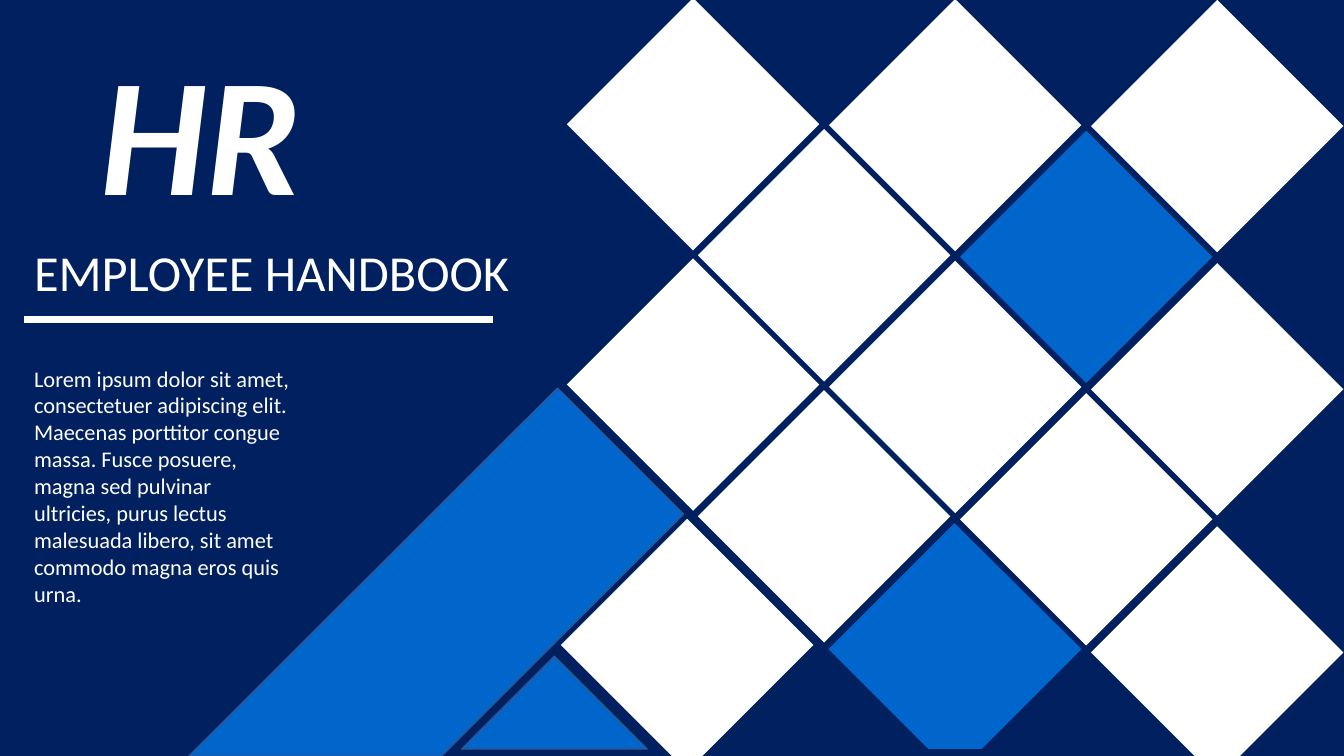
import pptx
import pptx.util
import pptx.dml.color
import pptx.enum.shapes
import pptx.enum.text
import lxml.etree

Pt = pptx.util.Pt
RGBColor = pptx.dml.color.RGBColor
NAVY = RGBColor(0x00, 0x20, 0x60)
BLUE = RGBColor(0x00, 0x66, 0xCC)
EDGE = RGBColor(0x32, 0x54, 0x91)
WHITE = RGBColor(0xFF, 0xFF, 0xFF)


def paint(shape, color, edge=None):
    shape.shadow.inherit = False
    shape.fill.solid()
    shape.fill.fore_color.rgb = color
    if edge is None:
        shape.line.fill.background()
    else:
        shape.line.color.rgb = edge
        shape.line.width = Pt(1)


def write(box, text, area, style):
    box.left, box.top, box.width, box.height = map(Pt, area)
    frame = box.text_frame
    frame.word_wrap = True
    frame.auto_size = pptx.enum.text.MSO_AUTO_SIZE.SHAPE_TO_FIT_TEXT
    frame.vertical_anchor = pptx.enum.text.MSO_ANCHOR.TOP
    line = frame.paragraphs[0]
    line.alignment = pptx.enum.text.PP_ALIGN.LEFT
    run = line.add_run()
    run.text = text
    run.font.name = "Calibri"
    run.font.color.rgb = WHITE
    for key, value in style.items():
        setattr(run.font, key, value)


deck = pptx.Presentation()
deck.slide_width, deck.slide_height = Pt(960), Pt(540)
slide = deck.slides.add_slide(deck.slide_layouts[5])
slide.background.fill.solid()
slide.background.fill.fore_color.rgb = NAVY
shapes = slide.shapes

# Title and subtitle
write(shapes.title, "HR", (64.8, 15.8, 251.3, 152.6),
      {"size": Pt(120), "bold": True, "italic": True})
write(shapes.add_textbox(0, 0, 0, 0), "EMPLOYEE HANDBOOK",
      (17.3, 168.5, 378.7, 51), {"size": Pt(36)})

# Rule under the subtitle
rule = shapes.add_connector(pptx.enum.shapes.MSO_CONNECTOR.STRAIGHT,
                            Pt(17.3), Pt(228.2), Pt(352), Pt(228.2))
rule.line.color.rgb = WHITE
rule.line.width = Pt(4.5)
lxml.etree.SubElement(rule._element.spPr, pptx.oxml.ns.qn("a:effectLst"))

# Blue pieces cut off at the foot: triangle, band, clipped tile
pieces = [
    (EDGE, [(396, 468.7), (462.2, 535), (329.8, 535)]),
    (EDGE, [(398.2, 277.2), (488.2, 367.2), (315.4, 540), (135, 540)]),
    (None, [(681.8, 373.7), (772.6, 463.7), (701.3, 535), (663.1, 535),
            (591.8, 463.7)]),
]
for edge, points in pieces:
    ends = [(Pt(x), Pt(y)) for x, y in points]
    path = shapes.build_freeform(*ends[0])
    path.add_line_segments(ends[1:], close=True)
    paint(path.convert_to_shape(), BLUE, edge)

# Diamond tiles: W white, B blue, rows spread slightly to the right
SIDE = 127.5
grid = ["W.W.W", ".W.B.", "W.W.W", ".W.W.", "W...W"]
for row, marks in enumerate(grid):
    for col, mark in enumerate(marks):
        if mark == ".":
            continue
        left = 431.3 + 93.6 * col
        if (row, col) == (4, 0):
            left -= 4.3  # the foot tile sits further left
        top = 25 + col / 3 + row * (93 + col / 4)
        tile = shapes.add_shape(pptx.enum.shapes.MSO_SHAPE.RECTANGLE,
                                Pt(left), Pt(top), Pt(SIDE), Pt(SIDE))
        tile.rotation = 45
        paint(tile, BLUE if mark == "B" else WHITE)

# Body text
write(shapes.add_textbox(0, 0, 0, 0),
      "Lorem ipsum dolor sit amet, consectetuer adipiscing elit. "
      "Maecenas porttitor congue massa. Fusce posuere, magna sed pulvinar "
      "ultricies, purus lectus malesuada libero, sit amet commodo magna "
      "eros quis urna.",
      (17.3, 257, 198, 200.9), {"size": Pt(16)})

deck.save("out.pptx")
